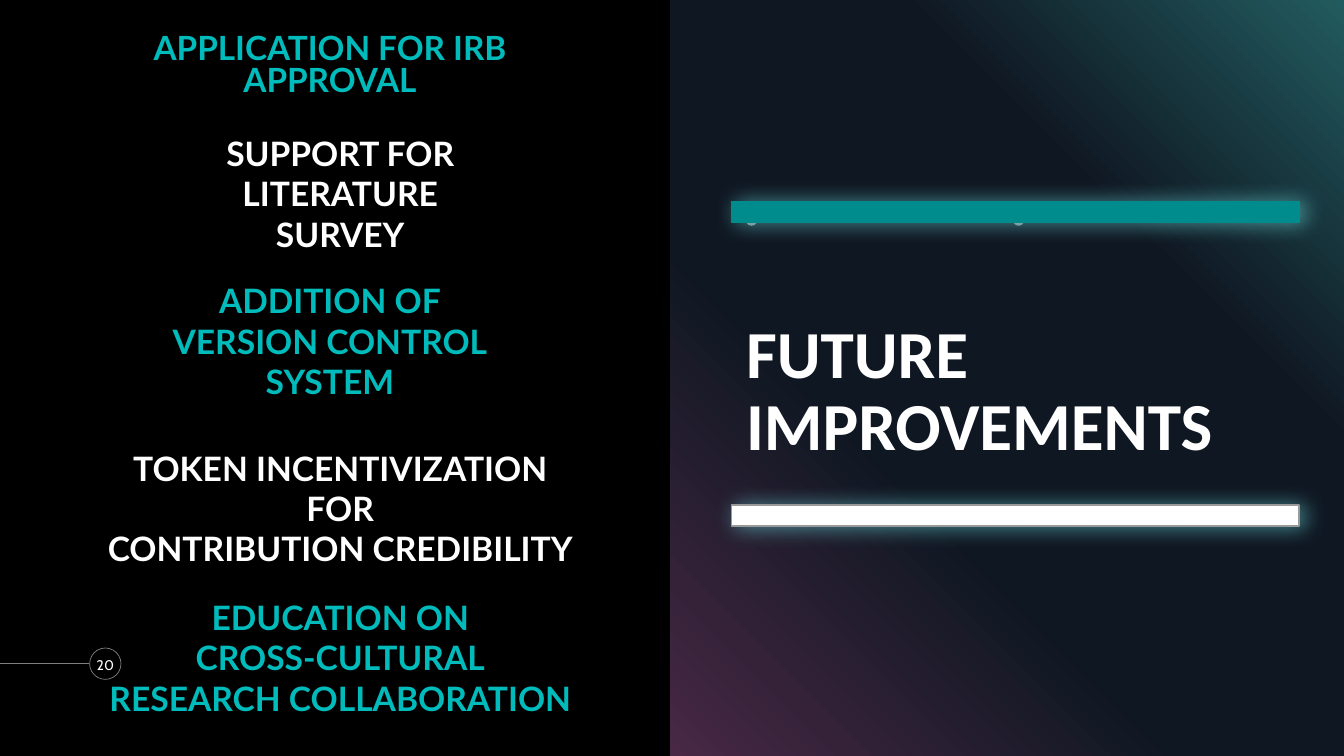
from lxml.etree import SubElement
from pptx import Presentation
from pptx.dml.color import RGBColor
from pptx.enum.shapes import MSO_CONNECTOR, MSO_SHAPE
from pptx.enum.text import MSO_ANCHOR, MSO_AUTO_SIZE, PP_ALIGN
from pptx.oxml.ns import qn
from pptx.util import Cm, Pt

# Content
TITLE = "FUTURE IMPROVEMENTS"
PAGE_NUMBER = "20"
FIRST_IMPROVEMENT = "APPLICATION FOR IRB APPROVAL"
IMPROVEMENTS = [  # lines, colour role, left, top in cm
    (["SUPPORT FOR", "LITERATURE", "SURVEY"], "white", 2.16, 3.35),
    (["ADDITION OF", "VERSION CONTROL", "SYSTEM"], "teal", 1.9, 7.06),
    (["TOKEN INCENTIVIZATION", "FOR", "CONTRIBUTION CREDIBILITY"], "white", 2.16, 11.28),
    (["EDUCATION ON", "CROSS-CULTURAL", "RESEARCH COLLABORATION"], "teal", 2.16, 15.04),
]
BARS = [(5.08, "bar", "bar"), (12.73, "white", "bar_edge")]  # top, fill, line


class Theme:
    colors = {"black": "000000", "white": "FFFFFF", "teal": "00BBBB", "grey": "808080",
              "bar": "008C8C", "bar_edge": "999999"}
    panel_stops = [(0, "482845"), (36, "0F1722"), (69, "0F1722"), (100, "225B5F")]
    glow = "7EFFFF"
    title_font, list_font, number_font = "Calibri", "Lato", "Cabin"
    title_size, first_size, list_size, number_size = 48, 23.8, 24, 10


def color(role):
    return RGBColor.from_string(Theme.colors[role])


def place(shape, left, top, width, height):
    shape.left, shape.top, shape.width, shape.height = map(Cm, (left, top, width, height))


def write(shape, text, font, size, role, bold=True, align=PP_ALIGN.CENTER,
          anchor=MSO_ANCHOR.TOP, spacing=1.0):
    frame = shape.text_frame
    frame.text = text
    frame.word_wrap = True
    frame.auto_size = MSO_AUTO_SIZE.NONE
    frame.vertical_anchor = anchor
    frame.margin_left = frame.margin_right = frame.margin_top = frame.margin_bottom = 0
    for paragraph in frame.paragraphs:
        paragraph.alignment = align
        paragraph.line_spacing = spacing
        paragraph.space_before = Pt(0)
        for run in paragraph.runs:
            run.font.name, run.font.size, run.font.bold = font, Pt(size), bold
            run.font.color.rgb = color(role)


def add_plain(shapes, kind, box, fill=None, line=None, line_width=0.5):
    shape = shapes.add_shape(kind, *map(Cm, box))
    shape.shadow.inherit = False
    if fill:
        shape.fill.solid()
        shape.fill.fore_color.rgb = color(fill)
    else:
        shape.fill.background()
    if line:
        shape.line.color.rgb = color(line)
        shape.line.width = Pt(line_width)
    else:
        shape.line.fill.background()
    return shape


def add_color(parent, value):
    return SubElement(parent, qn("a:srgbClr"), val=value)


def add_panel(shapes):
    panel = add_plain(shapes, MSO_SHAPE.RECTANGLE, (16.89, 0, 16.98, 19.05))
    panel.fill.gradient()
    panel.fill.gradient_angle = 45
    stops = panel._element.spPr.find(".//" + qn("a:gsLst"))
    for stop in list(stops):
        stops.remove(stop)
    for percent, value in Theme.panel_stops:
        add_color(SubElement(stops, qn("a:gs"), pos=str(percent * 1000)), value)


def add_glow(shape):
    effects = shape._element.spPr.find(qn("a:effectLst"))
    glow = SubElement(effects, qn("a:outerShdw"), blurRad=str(Pt(16)), dist=str(Pt(3)),
                      dir="0", algn="ctr", rotWithShape="0")
    SubElement(add_color(glow, Theme.glow), qn("a:alpha"), val="52000")


def main():
    prs = Presentation()
    prs.slide_width, prs.slide_height = Cm(33.87), Cm(19.05)
    slide = prs.slides.add_slide(prs.slide_layouts[0])
    shapes = slide.shapes
    slide.background.fill.solid()
    slide.background.fill.fore_color.rgb = color("black")

    # Page marker and gradient panel
    add_plain(shapes, MSO_SHAPE.OVAL, (2.26, 16.33, 0.79, 0.79), line="grey")
    rule = shapes.add_connector(MSO_CONNECTOR.STRAIGHT, 0, Cm(16.72), Cm(2.24), Cm(16.72))
    rule.line.color.rgb = color("grey")
    rule.line.width = Pt(0.5)
    SubElement(rule._element.spPr, qn("a:effectLst"))
    add_panel(shapes)
    for dot_left in (18.8, 25.53):
        add_plain(shapes, MSO_SHAPE.OVAL, (dot_left, 5.41, 0.28, 0.28), fill="grey")

    # Title and first improvement, brought in front of the panel
    title, first = shapes.title, slide.placeholders[1]
    for placeholder in (title, first):
        shapes._spTree.append(placeholder._element)
    place(title, 18.8, 4.8, 14.63, 6.93)
    write(title, TITLE, Theme.title_font, Theme.title_size, "white",
          align=PP_ALIGN.LEFT, anchor=MSO_ANCHOR.BOTTOM, spacing=0.9)
    place(first, 1.9, 0.89, 12.83, 1.65)
    write(first, FIRST_IMPROVEMENT, Theme.list_font, Theme.first_size, "teal", spacing=0.8)

    # Page number
    number = shapes.add_textbox(Cm(2.16), Cm(16.33), Cm(0.99), Cm(0.84))
    write(number, PAGE_NUMBER, Theme.number_font, Theme.number_size, "white",
          bold=False, anchor=MSO_ANCHOR.MIDDLE)

    # Remaining improvements
    for lines, role, left, top in IMPROVEMENTS:
        improvement = shapes.add_textbox(Cm(left), Cm(top), Cm(12.83), Cm(3.43))
        write(improvement, "\n".join(lines), Theme.list_font, Theme.list_size, role)

    # Glowing bars around the title
    for top, fill, line in BARS:
        add_glow(add_plain(shapes, MSO_SHAPE.RECTANGLE, (18.44, top, 14.3, 0.53), fill, line, 1))

    prs.save("out.pptx")


if __name__ == "__main__":
    main()
